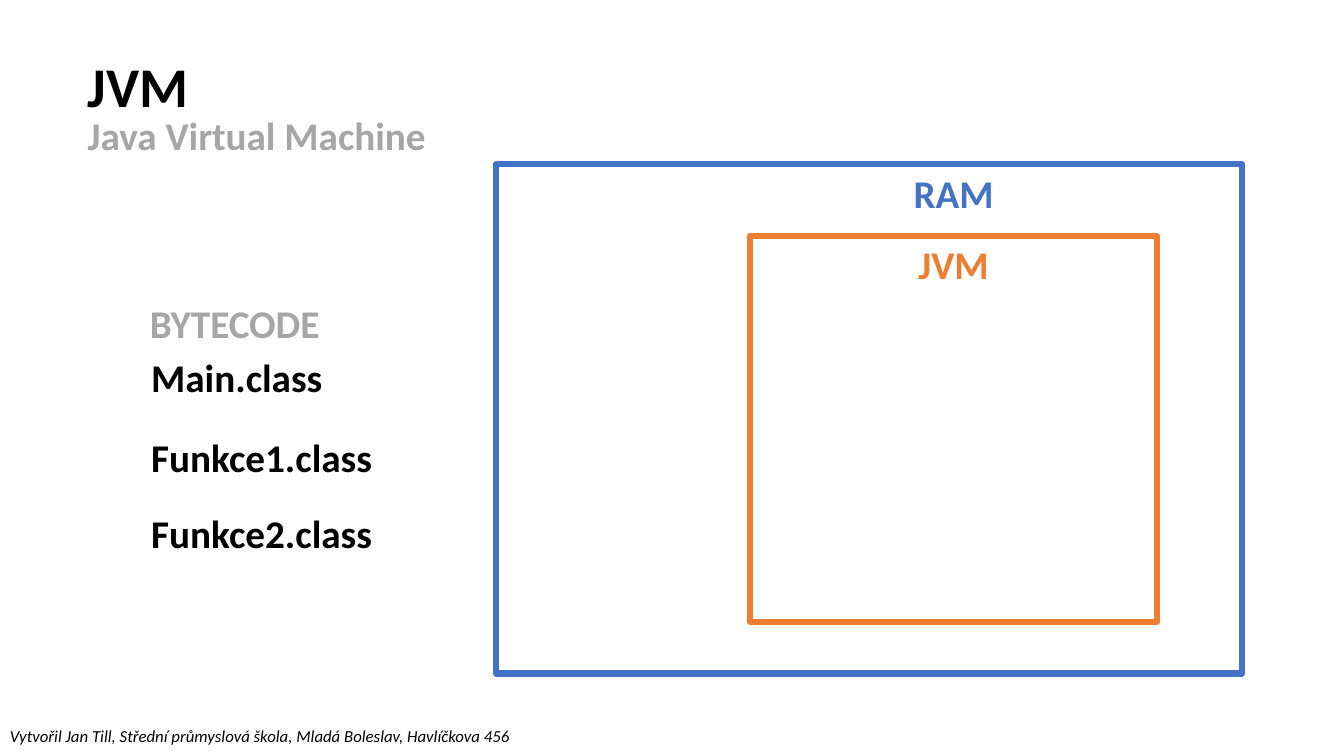
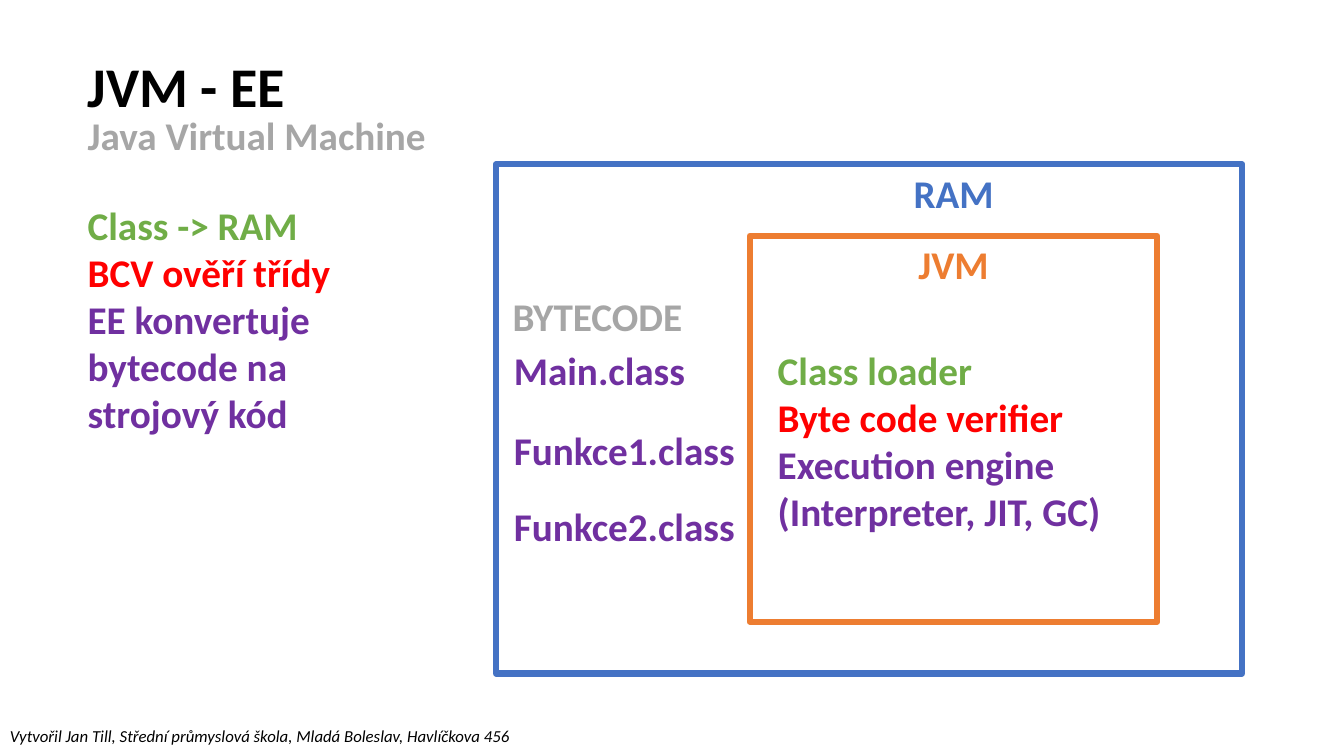
from pptx import Presentation
from pptx.dml.color import RGBColor
from pptx.enum import shapes, text
from pptx.util import Cm, Pt

HUES = {
    "black": "000000", "gray": "A6A6A6", "blue": "4472C4", "orange": "ED7D31",
    "green": "70AD47", "red": "FF0000", "purple": "7030A0",
}
HEAD = {"size": Pt(40), "bold": True}
BODY = {"size": Pt(28), "bold": True}
NOTE = {"size": Pt(12), "italic": True}

SUB = "Java Virtual Machine"
FOOT = "Vytvořil Jan Till, Střední průmyslová škola, Mladá Boleslav, Havlíčkova 456"
FILES = [("Main.class", 1.35), ("Funkce1.class", 3.38), ("Funkce2.class", 5.3)]
FRAMES = [
    ("JVM", "orange", (18.9, 5.94, 10.26, 9.73), 2.31),
    ("RAM", "blue", (12.5, 4.14, 18.8, 12.83), 2.54),
]
PARTS = [
    ("Class loader", "green"),
    ("Byte code verifier", "red"),
    ("Execution engine", "purple"),
    ("(Interpreter, JIT, GC)", "purple"),
]
STEPS = [
    ("Class -> RAM", "green"),
    ("BCV ověří třídy", "red"),
    ("EE konvertuje bytecode na strojový kód", "purple"),
]
SLIDES = [
    {"title": "JVM", "width": 3.07, "code": (3.53, 7.42), "hue": "black", "lists": []},
    {"title": "JVM - EE", "width": 5.54, "code": (12.67, 7.24), "hue": "purple",
     "lists": [(PARTS, (19.35, 8.59, 8.76, 5.05), False),
               (STEPS, (1.96, 4.95, 8.84, 6.25), True)]},
]
LEFT, ROW = 1.96, 1.45
MID = FRAMES[0][2][0] + FRAMES[0][2][2] / 2


def color(name):
    return RGBColor.from_string(HUES[name])


def write(slide, lines, area, style=BODY, wrap=False, align=text.PP_ALIGN.LEFT):
    frame = slide.shapes.add_textbox(*map(Cm, area)).text_frame
    frame.word_wrap = wrap
    frame.auto_size = text.MSO_AUTO_SIZE.SHAPE_TO_FIT_TEXT
    for i, (words, hue) in enumerate(lines):
        para = frame.add_paragraph() if i else frame.paragraphs[0]
        para.alignment = align
        run = para.add_run()
        run.text = words
        run.font.name = "Calibri"
        run.font.color.rgb = color(hue)
        for key, value in style.items():
            setattr(run.font, key, value)


def box(slide, label, hue, area, width):
    rect = slide.shapes.add_shape(shapes.MSO_SHAPE.RECTANGLE, *map(Cm, area))
    rect.shadow.inherit = False
    rect.fill.background()
    rect.line.color.rgb = color(hue)
    rect.line.width = Pt(4.5)
    write(slide, [(label, hue)], (MID - width / 2, area[1], width, ROW),
          align=text.PP_ALIGN.CENTER)


def build(deck, item):
    slide = deck.slides.add_slide(deck.slide_layouts[6])
    write(slide, [(item["title"], "black")], (LEFT, 1.17, item["width"], 1.96), HEAD)
    write(slide, [(SUB, "gray")], (LEFT, 2.69, 9.14, ROW))
    x, y = item["code"]
    for name, drop in FILES:
        write(slide, [(name, item["hue"])], (x + 0.03, y + drop, 8.84, ROW), wrap=True)
    write(slide, [("BYTECODE", "gray")], (x, y, 4.83, ROW))
    for frame in FRAMES:
        box(slide, *frame)
    for lines, area, wrap in item["lists"]:
        write(slide, lines, area, wrap=wrap)
    write(slide, [(FOOT, "black")], (0, 18.16, 13.23, 0.76), NOTE)


def main():
    deck = Presentation()
    deck.slide_width, deck.slide_height = Cm(33.87), Cm(19.05)
    for item in SLIDES:
        build(deck, item)
    deck.save("out.pptx")


if __name__ == "__main__":
    main()
